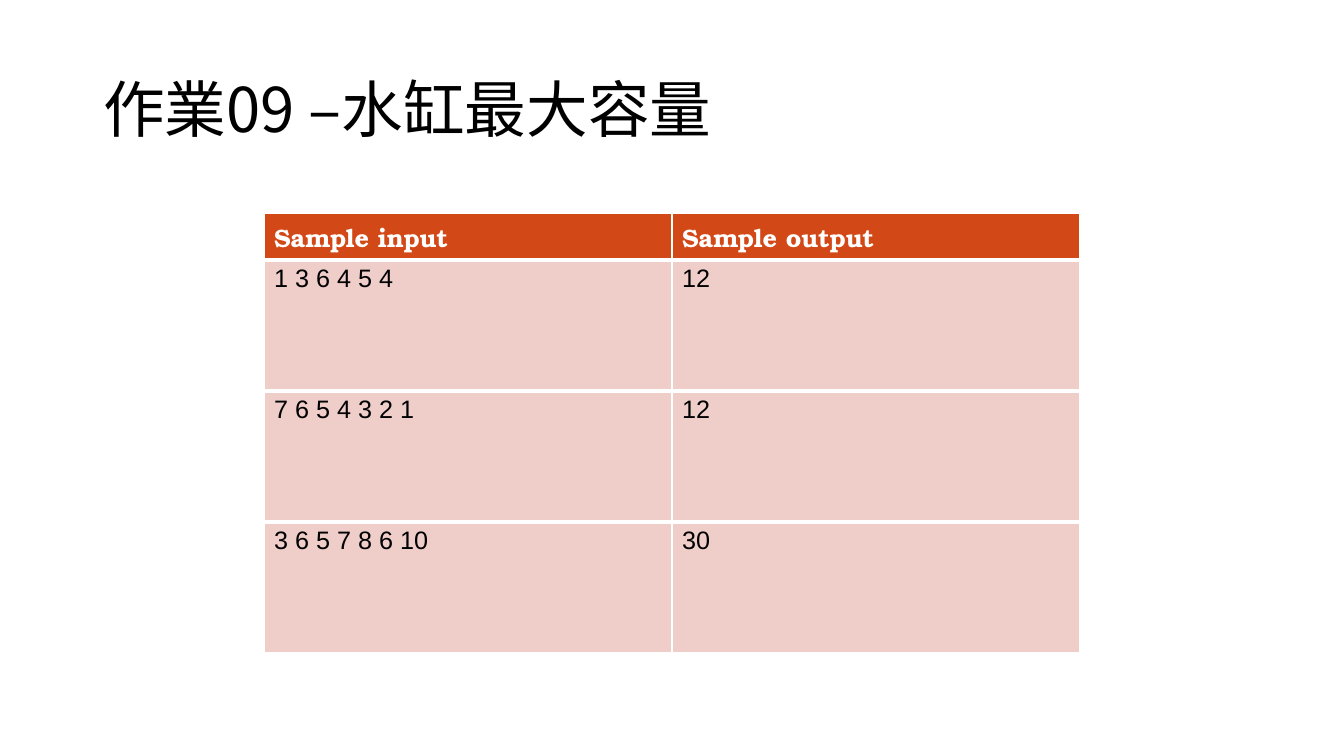
from dataclasses import dataclass

from lxml import etree
from pptx import Presentation
from pptx import util as u
from pptx.dml import color
from pptx.enum import text
from pptx.oxml import ns

PIXEL = u.Inches(1) / 100.8


@dataclass(frozen=True)
class Theme:
    """Colours, fonts and type sizes of the slide."""
    ink: str = "000000"
    paper: str = "FFFFFF"
    header: str = "D34817"
    body: str = "EFCECA"
    title_font: str = "Noto Sans CJK SC"
    header_font: str = "TeX Gyre Bonum"
    body_font: str = "Arial"
    title_size: int = 44
    table_size: int = 18
    thin: int = 1
    thick: int = 3


THEME = Theme()


def px(length):
    """Turn pixels into EMU."""
    return u.Emu(round(length * PIXEL))


def write_text(frame, words, *, font, size, fill, bold=False, spacing=1.0):
    """Write one left-aligned paragraph in the given format."""
    paragraph = frame.paragraphs[0]
    paragraph.alignment = text.PP_ALIGN.LEFT
    paragraph.line_spacing = spacing
    run = paragraph.add_run()
    run.text = words
    run.font.name = font
    run.font.size = u.Pt(size)
    run.font.bold = bold
    run.font.color.rgb = color.RGBColor.from_string(fill)
    east_asian = etree.SubElement(run.font._element, ns.qn("a:ea"))
    east_asian.set("typeface", font)


def set_borders(cell, **widths):
    """Draw cell borders, given as side=width in points (L, R, T, B)."""
    properties = cell._tc.get_or_add_tcPr()
    for index, (side, width) in enumerate(widths.items()):
        line = etree.Element(ns.qn(f"a:ln{side}"), w=str(u.Pt(width)))
        solid = etree.SubElement(line, ns.qn("a:solidFill"))
        etree.SubElement(solid, ns.qn("a:srgbClr"), val=THEME.paper)
        properties.insert(index, line)


def add_title(slide, words, box):
    """Place the title placeholder in the box."""
    title = slide.shapes.title
    title.left, title.top, title.width, title.height = map(px, box)
    frame = title.text_frame
    frame.word_wrap = True
    frame.auto_size = text.MSO_AUTO_SIZE.NONE
    frame.vertical_anchor = text.MSO_ANCHOR.MIDDLE
    write_text(frame, words, font=THEME.title_font, size=THEME.title_size,
               fill=THEME.ink, spacing=0.9)


def add_samples(slide, rows, box, header_height):
    """Fill the box with a table: a header row, then equal sample rows."""
    left, top, width, height = box
    columns = len(rows[0])
    last = len(rows) - 1
    table = slide.shapes.add_table(len(rows), columns, *map(px, box)).table
    for column in table.columns:
        column.width = px(width / columns)
    for index, row in enumerate(rows):
        is_header = index == 0
        table.rows[index].height = px(
            header_height if is_header else (height - header_height) / last)
        for cell, words in zip(table.rows[index].cells, row):
            cell.fill.solid()
            cell.fill.fore_color.rgb = color.RGBColor.from_string(
                THEME.header if is_header else THEME.body)
            set_borders(cell, L=THEME.thin, R=THEME.thin,
                        T=THEME.thin if is_header else THEME.thick,
                        B=THEME.thin if index == last else THEME.thick)
            write_text(cell.text_frame, words,
                       font=THEME.header_font if is_header else THEME.body_font,
                       size=THEME.table_size, bold=is_header,
                       fill=THEME.paper if is_header else THEME.ink)


def main():
    """Build the slide and save it."""
    presentation = Presentation()
    presentation.slide_width = px(1344)
    presentation.slide_height = px(756)
    slide = presentation.slides.add_slide(presentation.slide_layouts[5])
    add_title(slide, "作業09 –水缸最大容量", (93, 40, 1159, 146))
    samples = [
        ("Sample input", "Sample output"),
        ("1 3 6 4 5 4", "12"),
        ("7 6 5 4 3 2 1", "12"),
        ("3 6 5 7 8 6 10", "30"),
    ]
    add_samples(slide, samples, (264, 213, 816, 440), header_height=47)
    presentation.save("out.pptx")


main()
